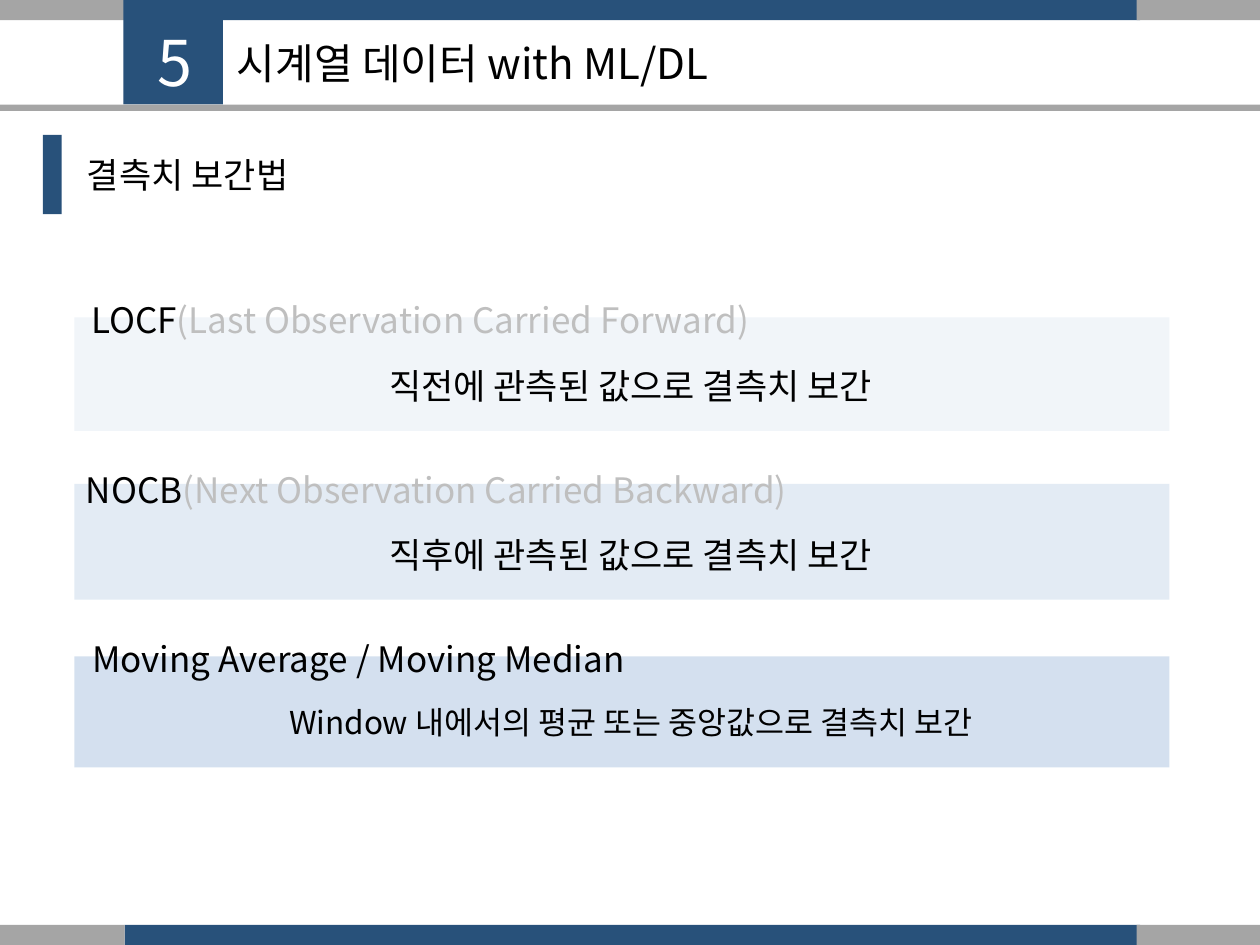
from lxml.etree import SubElement
from pptx import Presentation
from pptx.dml.color import RGBColor
from pptx.enum.shapes import MSO_SHAPE
from pptx.enum.text import MSO_ANCHOR, MSO_AUTO_SIZE, PP_ALIGN
from pptx.oxml.ns import qn
from pptx.util import Inches, Pt

FONT = "Noto Sans CJK KR"
NAVY, GRAY, PALE = "28517A", "A5A5A5", "BFBFBF"
WIDE, HIGH = 10, 7.5
EDGE, BAR = 0.99, 0.16
LEFT, SPAN = 0.59, 8.69

# band top, height, colour; heading left, top, width, runs; note top, size, text
BANDS = [
    (2.52, 0.9, "DCE6F2", 0.59, 2.15, 5.49,
     [("LOCF", "000000"), ("(Last Observation Carried Forward)", PALE)],
     2.68, 20, "직전에 관측된 값으로 결측치 보간"),
    (3.84, 0.92, "B9CDE5", 0.5, 3.5, 5.93,
     [("NOCB", "000000"), ("(Next Observation Carried Backward)", PALE)],
     4.02, 20, "직후에 관측된 값으로 결측치 보간"),
    (5.21, 0.88, "95B3D7", 0.1, 4.84, 5.49,
     [("Moving Average / Moving Median", "000000")],
     5.38, 18, "Window 내에서의 평균 또는 중앙값으로 결측치 보간"),
]


def paint(target, color):
    target.rgb = RGBColor.from_string(color)


def block(slide, x, y, w, h, color, alpha=None):
    """Add a plain rectangle; alpha is its opacity in percent."""
    shape = slide.shapes.add_shape(
        MSO_SHAPE.RECTANGLE, Inches(x), Inches(y), Inches(w), Inches(h))
    shape.shadow.inherit = False
    shape.line.fill.background()
    shape.fill.solid()
    paint(shape.fill.fore_color, color)
    if alpha:
        tone = shape.element.spPr.find(qn("a:solidFill"))[0]
        SubElement(tone, qn("a:alpha"), val=str(alpha * 1000))


def write(shape, runs, size=20, align=PP_ALIGN.LEFT, space=1.0,
          anchor=MSO_ANCHOR.TOP, fit=MSO_AUTO_SIZE.NONE):
    """Fill a shape with one paragraph of (text, colour) runs."""
    frame = shape.text_frame
    frame.word_wrap = True
    frame.auto_size = fit
    frame.vertical_anchor = anchor
    para = frame.paragraphs[0]
    para.alignment = align
    para.line_spacing = space
    para.space_before = Pt(0)
    for text, color in runs:
        run = para.add_run()
        run.text = text
        run.font.size = Pt(size)
        run.font.name = FONT
        paint(run.font.color, color)
        SubElement(run.font._element, qn("a:ea"), typeface=FONT)
    return para


def label(slide, x, y, w, h, runs, size=20):
    box = slide.shapes.add_textbox(Inches(x), Inches(y), Inches(w), Inches(h))
    write(box, runs, size, PP_ALIGN.CENTER, 1.5,
          fit=MSO_AUTO_SIZE.SHAPE_TO_FIT_TEXT)


def place(holder, x, y, w, h, text, color="000000", **form):
    """Move a placeholder to the front and fill it, without a bullet."""
    holder.left, holder.top = Inches(x), Inches(y)
    holder.width, holder.height = Inches(w), Inches(h)
    para = write(holder, [(text, color)], **form)
    props = para._p.get_or_add_pPr()
    props.set("marL", "0")
    props.set("indent", "0")
    SubElement(props, qn("a:buNone"))
    holder.element.getparent().append(holder.element)


def frame(slide):
    for y in (0, HIGH - BAR):
        block(slide, EDGE, y, 8.06, BAR, NAVY)
        block(slide, 0, y, EDGE, BAR, GRAY)
        block(slide, 9.02, y, WIDE - 9.02, BAR, GRAY)
    block(slide, 0.98, 0, 0.79, 0.83, NAVY)
    block(slide, 0, 0.83, WIDE, 0.05, GRAY)
    block(slide, 0.34, 1.07, 0.15, 0.63, NAVY)


def main():
    deck = Presentation()
    deck.slide_width, deck.slide_height = Inches(WIDE), Inches(HIGH)
    slide = deck.slides.add_slide(deck.slide_layouts[3])
    title, topic, number = list(slide.placeholders)

    frame(slide)
    for top, high, color, *_ in BANDS:
        block(slide, LEFT, top, SPAN, high, color, alpha=40)

    place(title, 1.78, 0.14, 6.28, 0.72, "시계열 데이터 with ML/DL",
          size=24, anchor=MSO_ANCHOR.MIDDLE)
    place(topic, LEFT, 1.17, 5.13, 0.44, "결측치 보간법")
    place(number, 1.15, 0.14, 0.45, 0.62, "5", "FFFFFF", size=36)

    for *_, x, y, w, runs, top, size, note in BANDS:
        label(slide, 1.88, top, 6.25, 0.55, [(note, "000000")], size)
        label(slide, x, y, w, 0.56, runs)
    deck.save("out.pptx")


if __name__ == "__main__":
    main()
